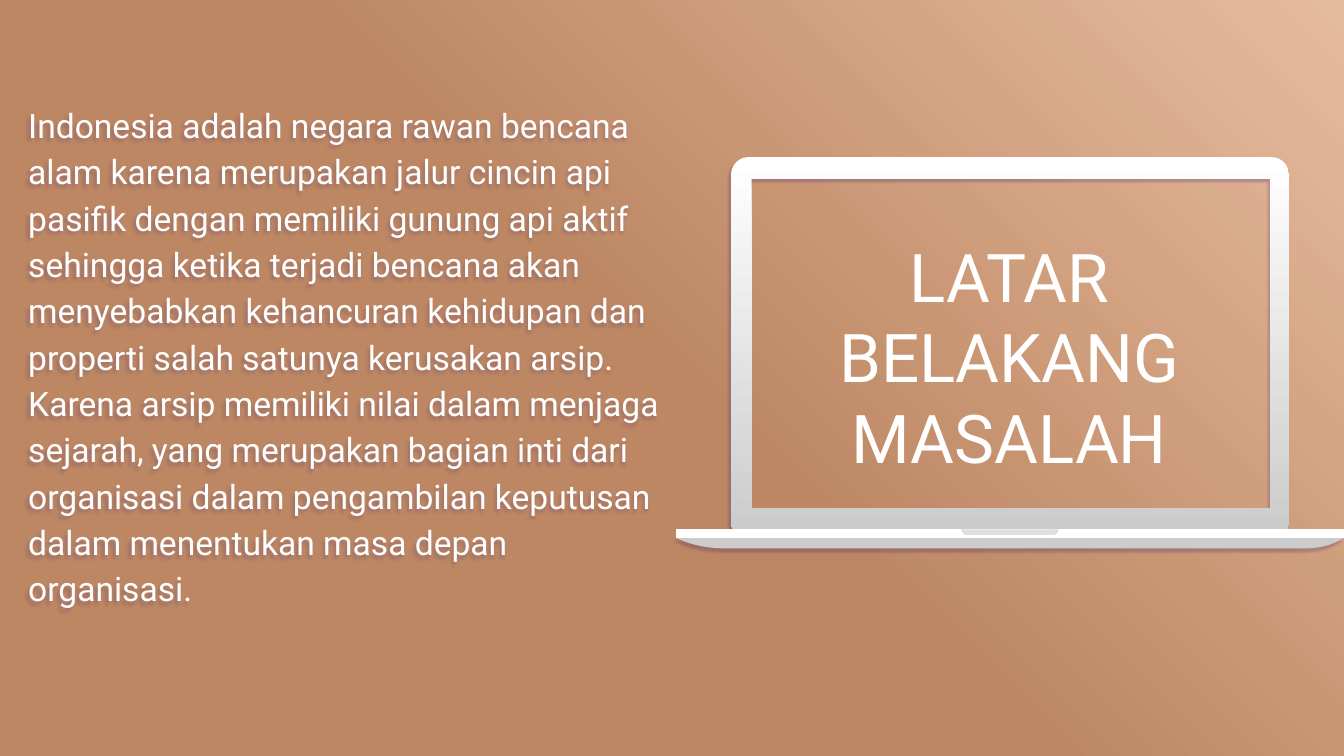
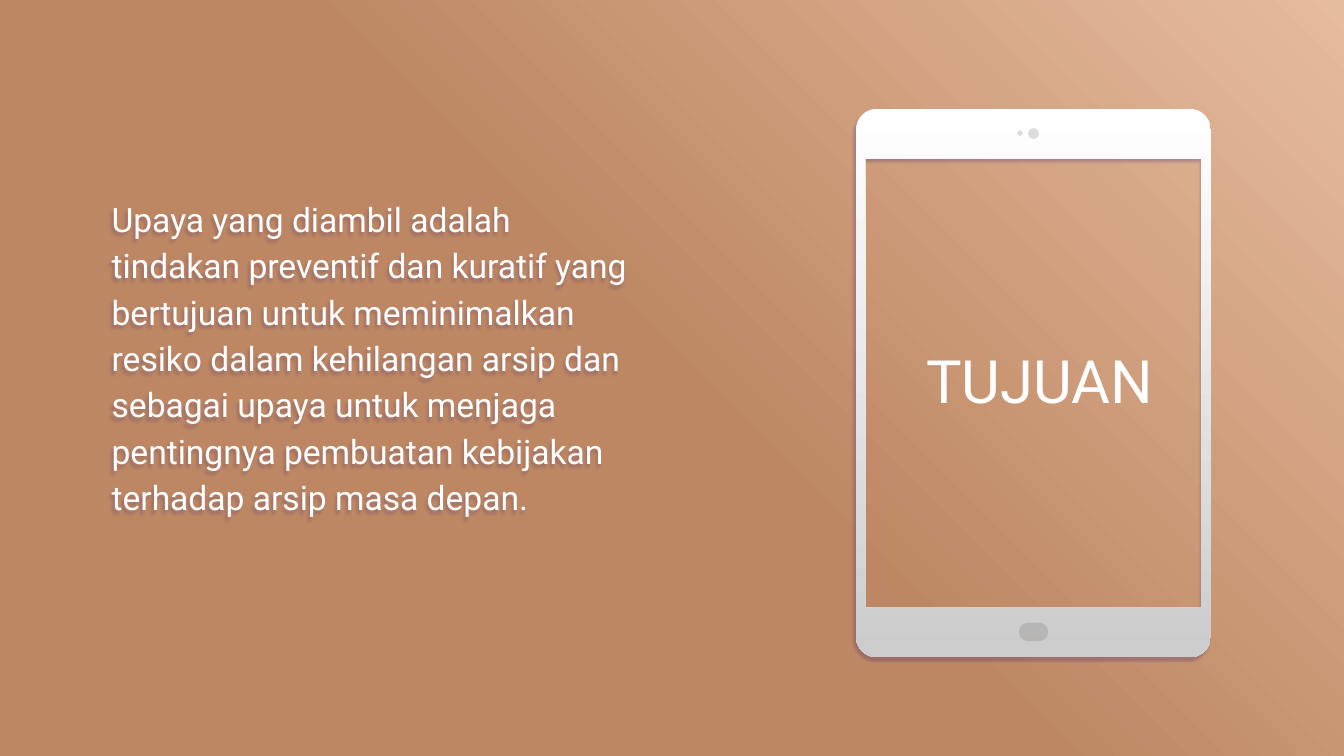
from math import cos, pi, sin

from lxml.etree import SubElement
from pptx import Presentation
from pptx.dml.color import RGBColor
from pptx.enum.shapes import MSO_SHAPE as Preset
from pptx.enum.text import MSO_ANCHOR as Anchor
from pptx.enum.text import MSO_AUTO_SIZE as AutoSize
from pptx.enum.text import PP_ALIGN as Align
from pptx.oxml.ns import qn
from pptx.util import Pt

FONT = "Roboto"
WHITE = "FFFFFF"
SILVER = "CCCCCC"
CLAY = "BD8763"
PEACH = "E6BC9E"
DETAIL = "5F5958"
SHADE = "351C75"
ARC_STEPS = 10

BACKGROUND_TEXT = (
    "Indonesia adalah negara rawan bencana alam karena merupakan jalur cincin api "
    "pasifik dengan memiliki gunung api aktif sehingga ketika terjadi bencana akan "
    "menyebabkan kehancuran kehidupan dan properti salah satunya kerusakan arsip. "
    "Karena arsip memiliki nilai dalam menjaga sejarah, yang merupakan bagian inti "
    "dari organisasi dalam pengambilan keputusan dalam menentukan masa depan organisasi."
)
GOAL_TEXT = (
    "Upaya yang diambil adalah tindakan preventif dan kuratif yang bertujuan untuk "
    "meminimalkan resiko dalam kehilangan arsip dan sebagai upaya untuk menjaga "
    "pentingnya pembuatan kebijakan terhadap arsip masa depan."
)


def color(value):
    return RGBColor.from_string(value)


def fill_gradient(fill, start, end, angle, hold=0):
    fill.gradient()
    fill.gradient_angle = angle
    first, last = fill.gradient_stops
    first.color.rgb, first.position = color(start), hold
    last.color.rgb, last.position = color(end), 1


def fill_solid(shape, value, opacity=100):
    shape.fill.solid()
    shape.fill.fore_color.rgb = color(value)
    if opacity < 100:
        tint = shape.element.spPr.find(qn("a:solidFill")).find(qn("a:srgbClr"))
        SubElement(tint, qn("a:alpha"), val=str(opacity * 1000))


def finish(shape):
    shape.line.fill.background()
    shape.shadow.inherit = False


def cast_shadow(shape):
    shape.shadow.inherit = False
    effects = shape.element.spPr.find(qn("a:effectLst"))
    shadow = SubElement(
        effects, qn("a:outerShdw"), blurRad=str(Pt(1.1)), dist=str(Pt(2.2)),
        dir=str(126 * 60000), algn="bl", rotWithShape="0",
    )
    tint = SubElement(shadow, qn("a:srgbClr"), val=SHADE)
    SubElement(tint, qn("a:alpha"), val="24000")


def rectangle(left, top, right, bottom):
    return [(left, top), (left, bottom), (right, bottom), (right, top)]


def rounded(left, top, right, bottom, top_radius, bottom_radius):
    corners = [
        (right - bottom_radius, bottom - bottom_radius, bottom_radius),
        (left + bottom_radius, bottom - bottom_radius, bottom_radius),
        (left + top_radius, top + top_radius, top_radius),
        (right - top_radius, top + top_radius, top_radius),
    ]
    points = []
    for quarter, (x, y, radius) in enumerate(corners):
        for step in range(ARC_STEPS + 1):
            turn = (quarter + step / ARC_STEPS) * pi / 2
            points.append((x + radius * cos(turn), y + radius * sin(turn)))
    return points


def tray(left, top, right, bottom, left_run, right_run):
    def bend(edge, run):
        curve = []
        for step in range(ARC_STEPS + 1):
            t = step / ARC_STEPS
            across = 3 * (1 - t) * t**2 * 0.35 + t**3
            down = 3 * (1 - t) * t**2 + t**3
            curve.append((edge + run * across, top + (bottom - top) * down))
        return curve

    return bend(left, left_run) + bend(right, -right_run)[::-1]


def add_outline(group, *contours):
    def scaled(points):
        return [(Pt(x), Pt(y)) for x, y in points]

    first, *holes = [scaled(contour) for contour in contours]
    builder = group.shapes.build_freeform(*first[0])
    builder.add_line_segments(first[1:], close=True)
    for hole in holes:
        builder.move_to(*hole[0])
        builder.add_line_segments(hole[1:], close=True)
    shape = builder.convert_to_shape()
    finish(shape)
    return shape


def add_frame(group, body, screen):
    frame = add_outline(group, body, screen)
    fill_gradient(frame.fill, WHITE, SILVER, 270)
    cast_shadow(frame)


def add_detail(group, preset, left, top, width, height):
    shape = group.shapes.add_shape(preset, Pt(left), Pt(top), Pt(width), Pt(height))
    if preset == Preset.ROUNDED_RECTANGLE:
        shape.adjustments[0] = 0.5
    fill_solid(shape, DETAIL, 20)
    finish(shape)


def place(box, left, top, width, height):
    box.left, box.top, box.width, box.height = Pt(left), Pt(top), Pt(width), Pt(height)


def write(box, text, size, align, insets):
    frame = box.text_frame
    frame.word_wrap = True
    frame.auto_size = AutoSize.NONE
    frame.vertical_anchor = Anchor.MIDDLE
    frame.margin_left, frame.margin_top, frame.margin_right, frame.margin_bottom = map(Pt, insets)
    para = frame.paragraphs[0]
    para.alignment = align
    span = para.add_run()
    span.text = text
    span.font.name = FONT
    span.font.size = Pt(size)
    span.font.color.rgb = color(WHITE)
    return para


def add_page(deck, title, size, bounds):
    page = deck.slides.add_slide(deck.slide_layouts[5])
    fill_gradient(page.background.fill, CLAY, PEACH, 45, hold=0.5)
    place(page.shapes.title, *bounds)
    write(page.shapes.title, title, size, Align.CENTER, [7.2] * 4)
    return page


def add_body(page, text, left, top, width, height):
    box = page.shapes.add_textbox(Pt(left), Pt(top), Pt(width), Pt(height))
    para = write(box, text, 18, Align.LEFT, [0, 0, 0, 25])
    para.line_spacing = 1.15
    cast_shadow(box)


def add_laptop(page):
    group = page.shapes.add_group_shape()
    add_frame(
        group,
        rounded(391.7, 84.2, 690.5, 284.4, 9.3, 4),
        rectangle(402.5, 95.8, 680.4, 272.2),
    )
    keel = add_outline(group, tray(362.2, 288, 720, 293.8, 26.6, 20.9))
    fill_solid(keel, SILVER)
    cast_shadow(keel)
    base = add_outline(group, rectangle(362.2, 283.7, 720, 288))
    fill_solid(base, WHITE)
    notch = add_outline(group, tray(514.8, 283.7, 567.4, 286.6, 3, 3))
    fill_solid(notch, DETAIL, 20)


def add_tablet(page):
    group = page.shapes.add_group_shape()
    add_frame(
        group,
        rounded(458.6, 58.3, 648.7, 352.1, 11.2, 11.2),
        rectangle(463.7, 85, 643.7, 325.4),
    )
    add_detail(group, Preset.ROUNDED_RECTANGLE, 545.8, 333.5, 15.8, 10)
    add_detail(group, Preset.OVAL, 545, 69.9, 2.9, 2.9)
    add_detail(group, Preset.OVAL, 550.8, 68.6, 5.8, 5.8)


def main():
    deck = Presentation()
    deck.slide_width, deck.slide_height = Pt(720), Pt(405)

    page = add_page(deck, "LATAR BELAKANG MASALAH", 36, (401.8, 102.2, 277.9, 177.1))
    add_body(page, BACKGROUND_TEXT, 15.1, 13, 347, 378)
    add_laptop(page)

    page = add_page(deck, "TUJUAN", 32, (466.6, 83.5, 180.7, 239.8))
    add_body(page, GOAL_TEXT, 59.8, 35.3, 286.6, 334.8)
    add_tablet(page)

    deck.save("out.pptx")


if __name__ == "__main__":
    main()
